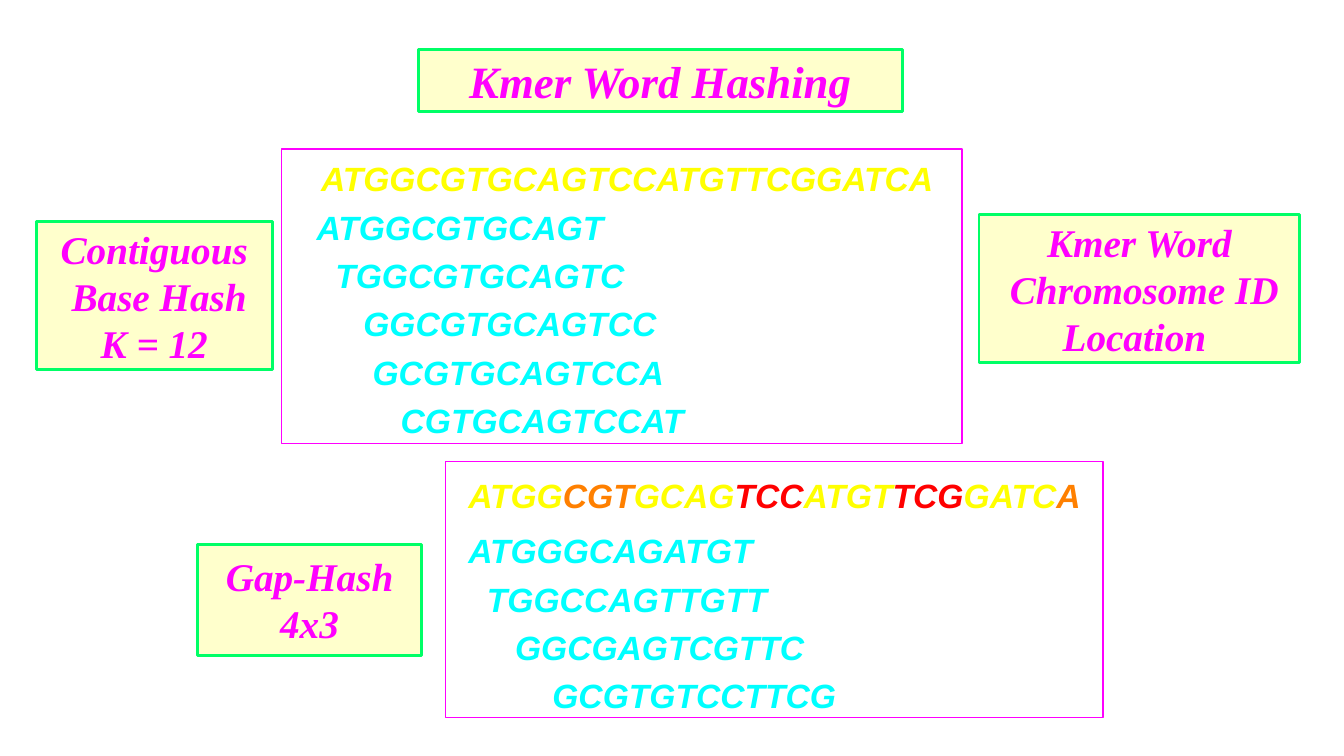
from dataclasses import dataclass

from pptx import Presentation
from pptx.dml.color import RGBColor
from pptx.enum.shapes import MSO_SHAPE
from pptx.enum.text import MSO_ANCHOR, MSO_AUTO_SIZE, PP_ALIGN
from pptx.util import Inches, Pt

RECTANGLE = MSO_SHAPE.RECTANGLE
MIDDLE, TOP = MSO_ANCHOR.MIDDLE, MSO_ANCHOR.TOP
CENTER, LEFT = PP_ALIGN.CENTER, PP_ALIGN.LEFT
NO_AUTOFIT = MSO_AUTO_SIZE.NONE

WHITE = RGBColor(0xFF, 0xFF, 0xFF)
CREAM = RGBColor(0xFF, 0xFF, 0xCC)
GREEN = RGBColor(0x00, 0xFF, 0x66)
MAGENTA = RGBColor(0xFF, 0x00, 0xFF)
YELLOW = RGBColor(0xFF, 0xFF, 0x00)
CYAN = RGBColor(0x00, 0xFF, 0xFF)
ORANGE = RGBColor(0xFF, 0x80, 0x00)
RED = RGBColor(0xFF, 0x00, 0x00)

CELL = Inches(0.1)
BASE_STEP = Pt(6.67)
LABEL_SHIFT = Pt(7)
KMER_GAP = Pt(5.7)


@dataclass(frozen=True)
class Area:
    column: float
    row: float
    columns: float
    rows: float

    def box(self) -> tuple[int, ...]:
        return tuple(round(cells * CELL) for cells in
                     (self.column, self.row, self.columns, self.rows))


@dataclass(frozen=True)
class Line:
    text: str
    shift: int = 0


@dataclass(frozen=True)
class Label:
    area: Area
    lines: tuple[Line, ...]


@dataclass(frozen=True)
class Panel:
    frame: Area
    sequence_area: Area
    sequence: tuple[tuple[str, RGBColor], ...]
    kmer_area: Area
    kmers: tuple[Line, ...]


TITLE_AREA = Area(41.5, 4.9, 48, 6.2)

LABELS = (
    Label(Area(19.6, 54, 22.2, 11), (Line("Gap-Hash"), Line("4x3"))),
    Label(Area(3.6, 22, 23.4, 14.7),
          (Line("Contiguous"), Line("Base Hash", 1), Line("K = 12"))),
    Label(Area(97.1, 21.3, 31.8, 14.7),
          (Line("Kmer Word"), Line("Chromosome ID", 1), Line("Location", -1))),
)

PANELS = (
    Panel(
        Area(44.2, 45.8, 65.2, 25.4),
        Area(46.45, 47.1, 62, 4),
        (("ATGG", YELLOW), ("CGT", ORANGE), ("GCAG", YELLOW), ("TCC", RED),
         ("ATGT", YELLOW), ("TCG", RED), ("GATC", YELLOW), ("A", ORANGE)),
        Area(46.45, 52.6, 46, 18),
        (Line("ATGGGCAGATGT"), Line("TGGCCAGTTGTT", 2),
         Line("GGCGAGTCGTTC", 5), Line("GCGTGTCCTTCG", 9)),
    ),
    Panel(
        Area(27.9, 14.8, 67.5, 29.2),
        Area(31.85, 15.7, 62, 4),
        (("ATGGCGTGCAGTCCATGTTCGGATCA", YELLOW),),
        Area(31.4, 20.5, 58, 22.5),
        (Line("ATGGCGTGCAGT"), Line("TGGCGTGCAGTC", 2), Line("GGCGTGCAGTCC", 5),
         Line("GCGTGCAGTCCA", 6), Line("CGTGCAGTCCAT", 9)),
    ),
)


def style_paragraph(paragraph, name: str, size: int, color: RGBColor, alignment) -> None:
    paragraph.alignment = alignment
    font = paragraph.font
    font.name, font.size, font.bold, font.italic = name, Pt(size), True, True
    font.color.rgb = color


def style_shape(shape, fill: RGBColor, line: RGBColor, width: int) -> None:
    shape.fill.solid()
    shape.fill.fore_color.rgb = fill
    shape.line.color.rgb = line
    shape.line.width = Pt(width)


def add_rectangle(shapes, area: Area, fill: RGBColor, line: RGBColor, width: int):
    shape = shapes.add_shape(RECTANGLE, *area.box())
    shape.shadow.inherit = False
    style_shape(shape, fill, line, width)
    return shape


def add_paragraphs(frame, lines: tuple[Line, ...]) -> list:
    paragraphs = []
    for index, line in enumerate(lines):
        paragraph = frame.add_paragraph() if index else frame.paragraphs[0]
        paragraph.add_run().text = line.text
        paragraphs.append(paragraph)
    return paragraphs


def add_text_box(shapes, area: Area):
    frame = shapes.add_textbox(*area.box()).text_frame
    frame.word_wrap = True
    frame.vertical_anchor = TOP
    frame.margin_left = frame.margin_right = 0
    frame.margin_top = frame.margin_bottom = 0
    return frame


def draw_title(slide) -> None:
    title = slide.shapes.title
    title.left, title.top, title.width, title.height = TITLE_AREA.box()
    style_shape(title, CREAM, GREEN, 2)
    frame = title.text_frame
    frame.auto_size = NO_AUTOFIT
    frame.vertical_anchor = MIDDLE
    frame.text = "Kmer Word Hashing"
    style_paragraph(frame.paragraphs[0], "Times New Roman", 32, MAGENTA, CENTER)


def draw_label(slide, label: Label) -> None:
    frame = add_rectangle(slide.shapes, label.area, CREAM, GREEN, 2).text_frame
    frame.word_wrap = True
    frame.vertical_anchor = MIDDLE
    for paragraph, line in zip(add_paragraphs(frame, label.lines), label.lines):
        style_paragraph(paragraph, "Times New Roman", 28, MAGENTA, CENTER)
        if line.shift:
            side = "marL" if line.shift > 0 else "marR"
            paragraph._p.get_or_add_pPr().set(side, str(LABEL_SHIFT))


def draw_panel(slide, panel: Panel) -> None:
    shapes = slide.shapes.add_group_shape().shapes
    add_rectangle(shapes, panel.frame, WHITE, MAGENTA, 1)

    kmer_frame = add_text_box(shapes, panel.kmer_area)
    paragraphs = add_paragraphs(kmer_frame, panel.kmers)
    for paragraph, kmer in zip(paragraphs, panel.kmers):
        style_paragraph(paragraph, "Arial", 24, CYAN, LEFT)
        paragraph._p.get_or_add_pPr().set("marL", str(kmer.shift * BASE_STEP))
    for paragraph in paragraphs[1:]:
        paragraph.space_before = KMER_GAP

    sequence = add_text_box(shapes, panel.sequence_area).paragraphs[0]
    style_paragraph(sequence, "Arial", 24, YELLOW, LEFT)
    for bases, color in panel.sequence:
        run = sequence.add_run()
        run.text = bases
        run.font.color.rgb = color


def main() -> None:
    presentation = Presentation()
    presentation.slide_width = Inches(13.33)
    presentation.slide_height = Inches(7.5)
    slide = presentation.slides.add_slide(presentation.slide_layouts[5])
    draw_title(slide)
    for panel in PANELS:
        draw_panel(slide, panel)
    for label in LABELS:
        draw_label(slide, label)
    presentation.save("out.pptx")


if __name__ == "__main__":
    main()
